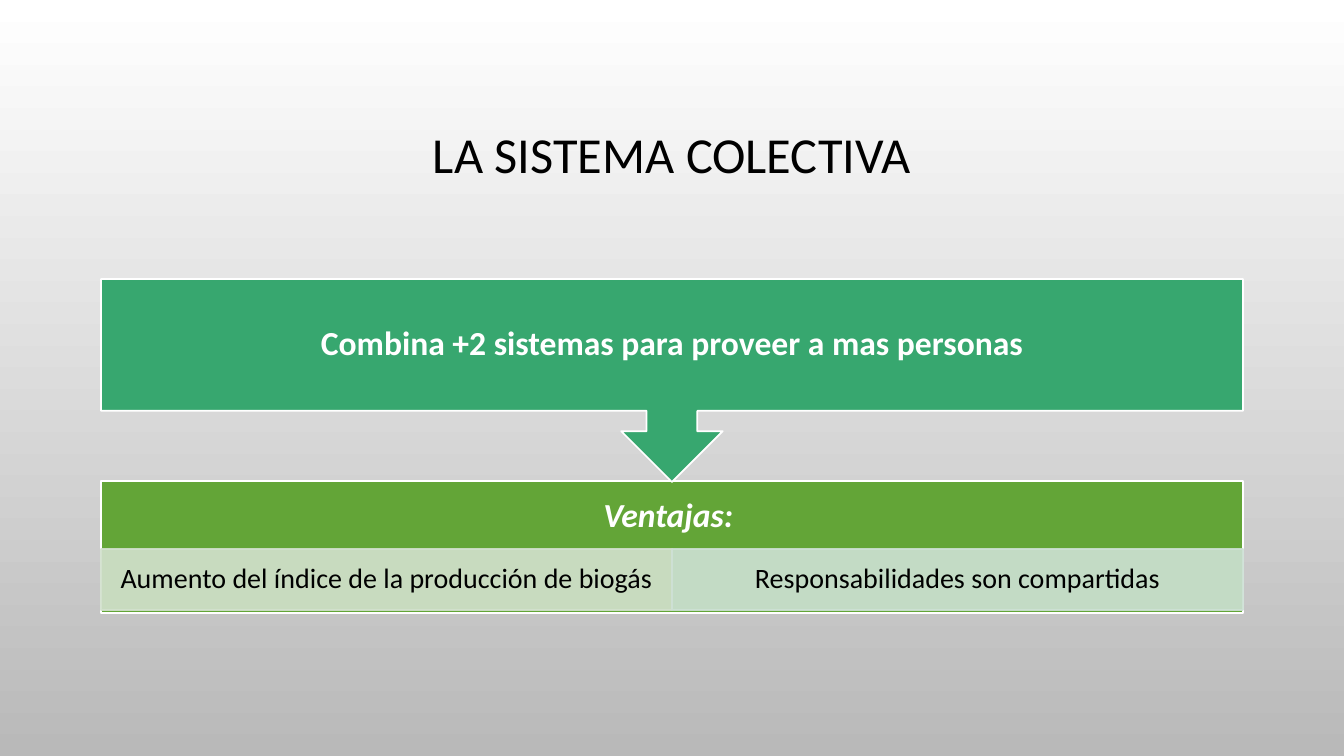
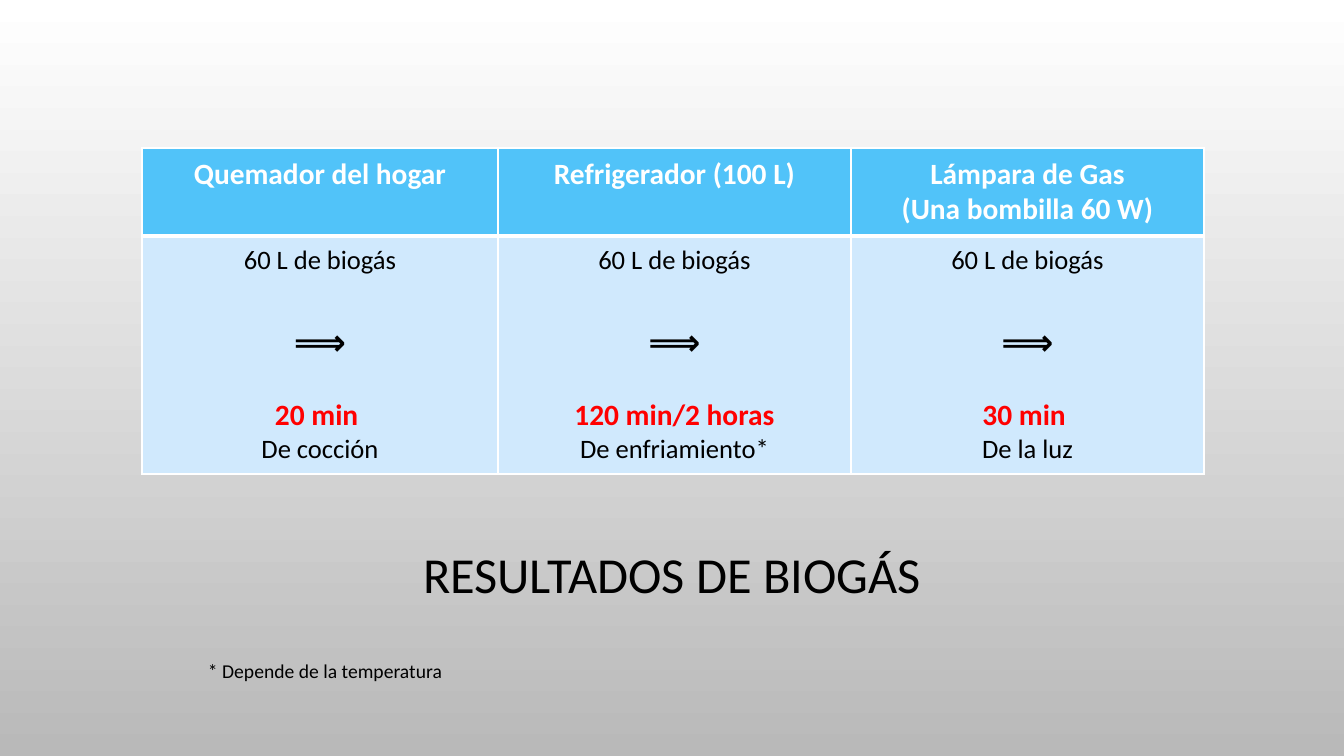
from lxml.etree import SubElement
from pptx import Presentation
from pptx.dml.color import RGBColor
from pptx.enum.shapes import MSO_SHAPE
from pptx.enum.text import MSO_ANCHOR, PP_ALIGN
from pptx.oxml.ns import qn
from pptx.util import Pt

EMU_PER_PX = 914400 / 100.8
WIDTH, HEIGHT = 1344, 756
MARGIN = 101
CONTENT = WIDTH - 2 * MARGIN
FONT = "Calibri"
COLORS = {
    "black": "000000", "white": "FFFFFF", "grey": "B9B9B9", "red": "FF0000",
    "green": "37A76F", "lime": "63A537", "pale lime": "D3E1CE",
    "pale green": "CEE1D5", "blue": "51C3F9", "pale blue": "D0E9FD",
}


def px(n):
    return round(n * EMU_PER_PX)


def rgb(name):
    return RGBColor.from_string(COLORS[name])


class Deck:
    def __init__(self):
        self.prs = Presentation()
        self.prs.slide_width, self.prs.slide_height = px(WIDTH), px(HEIGHT)
        self.slide = None
        fill = self.prs.slide_master.background.fill
        fill.gradient()
        fill.gradient_angle = 270
        for stop, color in zip(fill.gradient_stops, ("white", "grey")):
            stop.color.rgb = rgb(color)

    def new_slide(self, title, top, height):
        self.slide = self.prs.slides.add_slide(self.prs.slide_layouts[5])
        sp = self.slide.shapes.title
        sp.left, sp.top, sp.width, sp.height = map(px, (MARGIN, top, CONTENT, height))
        sp.text_frame.vertical_anchor = MSO_ANCHOR.MIDDLE
        self.add_text(sp.text_frame.paragraphs[0], title, 36, spacing=0.9)

    def add_text(self, p, text, size, color="black", bold=False, italic=False,
                 align=PP_ALIGN.CENTER, spacing=1.0, before=0):
        p.alignment, p.line_spacing = align, spacing
        if before:
            p.space_before = Pt(before)
        r = p.add_run()
        r.text = text
        font = r.font
        font.name, font.size, font.bold, font.italic = FONT, Pt(size), bold, italic
        font.color.rgb = rgb(color)

    def box(self, kind, at, fill, text, size, line="white", alpha=None,
            bottom_inset=3, **style):
        """Add a filled shape; alpha is the opacity of fill and line in percent."""
        sp = self.slide.shapes.add_shape(kind, *map(px, at))
        sp.shadow.inherit = False
        sp.fill.solid()
        sp.fill.fore_color.rgb = rgb(fill)
        sp.line.color.rgb = rgb(line)
        sp.line.width = Pt(1.25)
        if alpha:
            for clr in sp._element.spPr.iter(qn("a:srgbClr")):
                SubElement(clr, qn("a:alpha"), val=str(alpha * 1000))
        tf = sp.text_frame
        tf.word_wrap = True
        tf.vertical_anchor = MSO_ANCHOR.MIDDLE
        tf.margin_left = tf.margin_right = px(16)
        tf.margin_top, tf.margin_bottom = px(3), px(bottom_inset)
        self.add_text(tf.paragraphs[0], text, size, spacing=0.9, **style)

    def note(self, at, text):
        tf = self.slide.shapes.add_textbox(*map(px, at)).text_frame
        tf.word_wrap = True
        self.add_text(tf.paragraphs[0], text, 14, align=PP_ALIGN.LEFT)

    def cell(self, cell, paragraphs, fill, bottom=1):
        """Fill a cell; bottom is the width of its lower border in points."""
        tc_pr = cell._tc.get_or_add_tcPr()
        for side, width in (("L", 1), ("R", 1), ("T", 1), ("B", bottom)):
            ln = SubElement(tc_pr, qn("a:ln" + side), w=str(Pt(width)))
            solid = SubElement(ln, qn("a:solidFill"))
            SubElement(solid, qn("a:srgbClr"), val=COLORS["white"])
        cell.fill.solid()
        cell.fill.fore_color.rgb = rgb(fill)
        cell.margin_left = cell.margin_right = px(16)
        cell.margin_top = cell.margin_bottom = px(8)
        tf = cell.text_frame
        for i, (text, style) in enumerate(paragraphs):
            p = tf.add_paragraph() if i else tf.paragraphs[0]
            self.add_text(p, text, **style)

    def table(self, left, top, widths, heights):
        table = self.slide.shapes.add_table(
            len(heights), len(widths), px(left), px(top),
            px(sum(widths)), px(sum(heights))).table
        table.horz_banding = False
        for column, width in zip(table.columns, widths):
            column.width = px(width)
        for row, height in zip(table.rows, heights):
            row.height = px(height)
        return table


def collective_system(deck):
    deck.new_slide("LA SISTEMA COLECTIVA", 69, 176)
    half, strip = CONTENT // 2, 60
    deck.box(MSO_SHAPE.RECTANGLE, (MARGIN, 481, CONTENT, 132), "lime", "Ventajas: ",
             24, bottom_inset=strip + 3, color="white", bold=True, italic=True)
    benefits = (("Aumento del índice de la producción de biogás", "pale lime"),
                ("Responsabilidades son compartidas", "pale green"))
    for i, (text, color) in enumerate(benefits):
        deck.box(MSO_SHAPE.RECTANGLE, (MARGIN + i * half, 549, half, strip + 1),
                 color, text, 20, line=color, alpha=90)
    deck.box(MSO_SHAPE.DOWN_ARROW_CALLOUT, (MARGIN, 279, CONTENT, 203), "green",
             "Combina +2 sistemas para proveer a mas personas", 24,
             color="white", bold=True)


def biogas_results(deck):
    deck.new_slide("RESULTADOS DE BIOGÁS", 506, 143)
    uses = (
        (("Quemador del hogar",), "20 min ", "De cocción"),
        (("Refrigerador (100 L)",), "120 min/2 horas", "De enfriamiento*"),
        (("Lámpara de Gas", "(Una bombilla 60 W)"), "30 min ", "De la luz"),
    )
    heading = dict(size=21, color="white", bold=True)
    plain = dict(size=19)
    arrow = dict(size=26, bold=True, before=32)
    duration = dict(size=21, color="red", bold=True, before=23)
    table = deck.table(142, 148, (356, 353, 353), (88, 237))
    for col, (names, time, purpose) in enumerate(uses):
        deck.cell(table.cell(0, col), [(name, heading) for name in names],
                  "blue", bottom=3)
        deck.cell(table.cell(1, col),
                  [("60 L de biogás", plain), ("⟹", arrow),
                   (time, duration), (purpose, plain)], "pale blue")
    deck.note((198, 654, 1097, 34), "* Depende de la temperatura")


def main():
    deck = Deck()
    collective_system(deck)
    biogas_results(deck)
    deck.prs.save("out.pptx")


if __name__ == "__main__":
    main()
